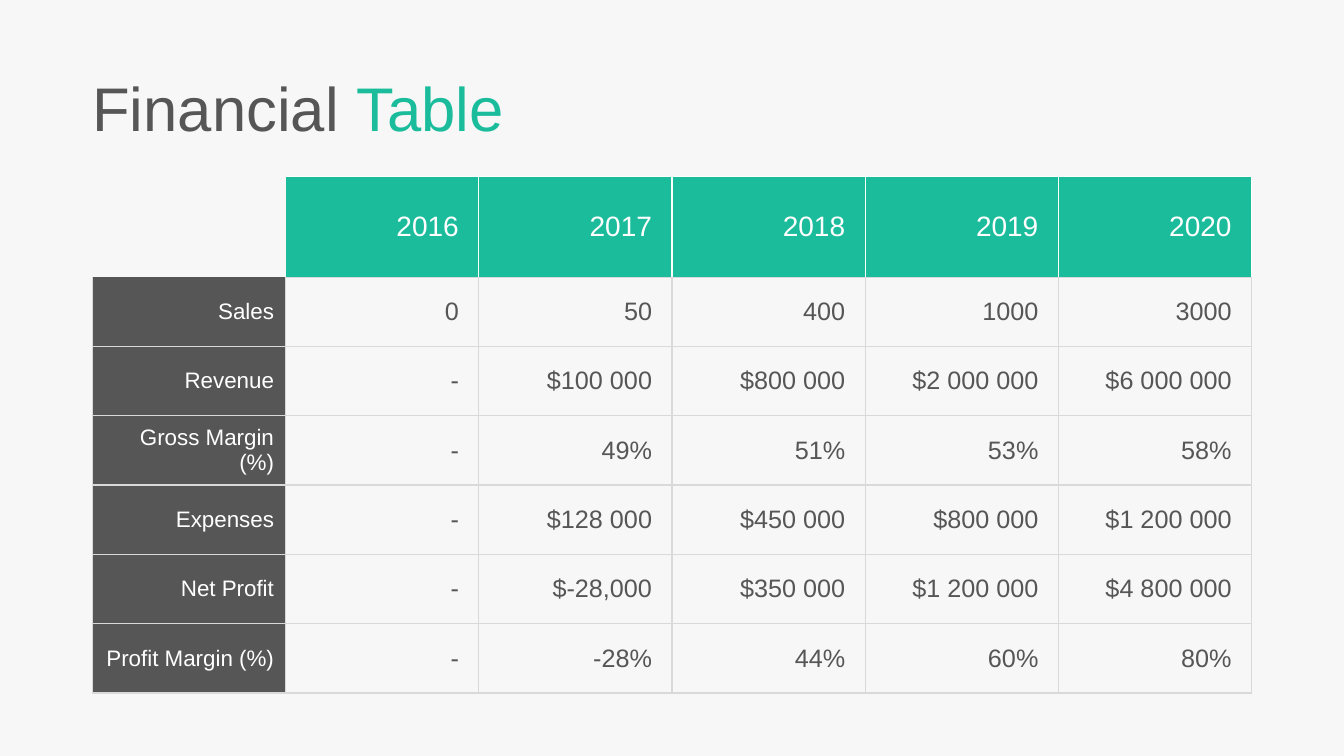
from dataclasses import dataclass
from typing import Any

from lxml.etree import SubElement
from pptx import Presentation
from pptx.dml.color import RGBColor
from pptx.enum.text import MSO_ANCHOR, MSO_AUTO_SIZE, PP_ALIGN
from pptx.oxml.ns import qn
from pptx.util import Emu, Pt

PAPER = "F7F7F7"
WHITE = "FFFFFF"
GREEN = "1ABC9C"
DARK = "565656"
GREY = "D9D9D9"

LEFT, TOP = 88, 168
WIDE, HEAD, ROW = 184, 96, 66

DATA = [
    ["", "2016", "2017", "2018", "2019", "2020"],
    ["Sales", "0", "50", "400", "1000", "3000"],
    ["Revenue", "-", "$100 000", "$800 000", "$2 000 000", "$6 000 000"],
    ["Gross Margin (%)", "-", "49%", "51%", "53%", "58%"],
    ["Expenses", "-", "$128 000", "$450 000", "$800 000", "$1 200 000"],
    ["Net Profit", "-", "$-28,000", "$350 000", "$1 200 000", "$4 800 000"],
    ["Profit Margin (%)", "-", "-28%", "44%", "60%", "80%"],
]


@dataclass(frozen=True)
class Style:
    size: int
    ink: str
    fill: str | None
    inset: int


YEAR = Style(20, WHITE, GREEN, 19)
LABEL = Style(16, WHITE, DARK, 11)
VALUE = Style(18, DARK, None, 19)
EMPTY = Style(18, DARK, None, 19)


def px(count: int) -> Emu:
    return Emu(count * 9525)


def hue(code: str) -> RGBColor:
    return RGBColor.from_string(code)


def apply(target: Any, values: dict[str, Any]) -> None:
    for name, value in values.items():
        setattr(target, name, value)


def write(para: Any, text: str, size: int, ink: str) -> None:
    run = para.add_run()
    run.text = text
    apply(run.font, {"name": "Arial", "size": Pt(size), "bold": False})
    run.font.color.rgb = hue(ink)


def pick(row: int, col: int) -> Style:
    if row == 0:
        return YEAR if col else EMPTY
    return VALUE if col else LABEL


def edges(row: int, col: int) -> dict[str, str | None]:
    if row == 0 and col == 0:
        return dict.fromkeys("LRTB")
    if row == 0:
        return {"L": WHITE if col > 1 else None, "R": WHITE, "T": WHITE, "B": GREY}
    sides = dict.fromkeys("LRTB", GREY)
    if row == 1 and col == 0:
        sides["T"] = None
    return sides


def border(cell: Any, sides: dict[str, str | None]) -> None:
    props = cell._tc.get_or_add_tcPr()
    for side, code in sides.items():
        line = SubElement(props, qn(f"a:ln{side}"), w=str(Pt(1)))
        if code:
            fill = SubElement(line, qn("a:solidFill"))
            SubElement(fill, qn("a:srgbClr"), val=code)
        else:
            SubElement(line, qn("a:noFill"))


def paint(cell: Any, text: str, style: Style, sides: dict[str, str | None]) -> None:
    border(cell, sides)
    if style.fill:
        cell.fill.solid()
        cell.fill.fore_color.rgb = hue(style.fill)
    else:
        cell.fill.background()
    apply(cell, {
        "vertical_anchor": MSO_ANCHOR.MIDDLE,
        "margin_left": px(10), "margin_right": px(style.inset),
        "margin_top": px(5), "margin_bottom": px(5),
    })
    para = cell.text_frame.paragraphs[0]
    para.alignment = PP_ALIGN.RIGHT
    if text:
        write(para, text, style.size, style.ink)


def title(slide: Any) -> None:
    shape = slide.shapes.title
    apply(shape, {"left": px(LEFT), "top": px(69), "width": px(470), "height": px(74)})
    frame = shape.text_frame
    apply(frame, {
        "word_wrap": True, "auto_size": MSO_AUTO_SIZE.NONE,
        "vertical_anchor": MSO_ANCHOR.BOTTOM,
        "margin_left": 0, "margin_right": px(10),
        "margin_top": px(5), "margin_bottom": px(5),
    })
    para = frame.paragraphs[0]
    apply(para, {"alignment": PP_ALIGN.LEFT, "line_spacing": 0.9, "space_before": Pt(10)})
    write(para, "Financial ", 44, DARK)
    write(para, "Table", 44, GREEN)


def grid(slide: Any) -> None:
    rows, cols = len(DATA), len(DATA[0])
    table = slide.shapes.add_table(
        rows, cols, px(LEFT), px(TOP), px(WIDE * cols), px(HEAD + ROW * (rows - 1))
    ).table
    apply(table, {"first_row": False, "horz_banding": False})
    for col in table.columns:
        col.width = px(WIDE)
    for row, line in enumerate(DATA):
        table.rows[row].height = px(ROW if row else HEAD)
        for col, text in enumerate(line):
            paint(table.cell(row, col), text, pick(row, col), edges(row, col))


def main() -> None:
    deck = Presentation()
    apply(deck, {"slide_width": px(1280), "slide_height": px(720)})
    slide = deck.slides.add_slide(deck.slide_layouts[5])
    slide.background.fill.solid()
    slide.background.fill.fore_color.rgb = hue(PAPER)
    title(slide)
    grid(slide)
    deck.save("out.pptx")


if __name__ == "__main__":
    main()
